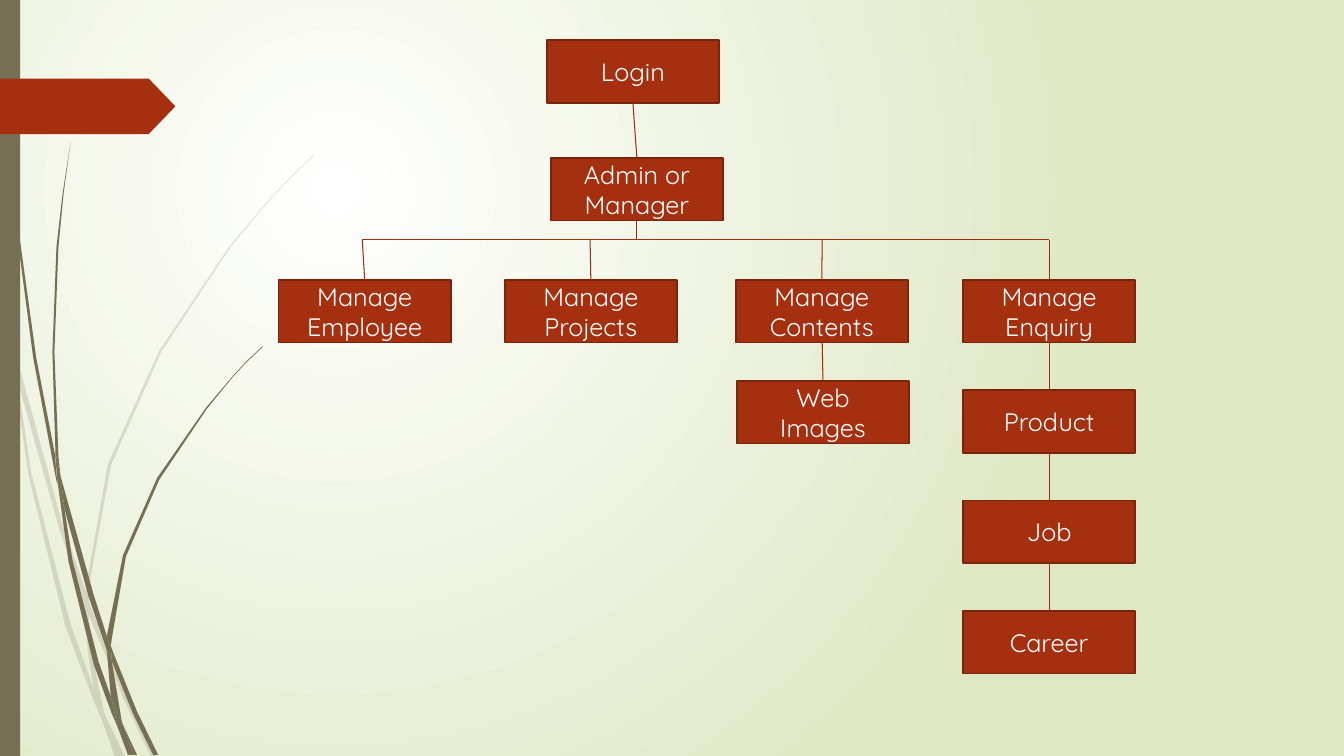
from dataclasses import dataclass

from lxml.etree import SubElement
from pptx import Presentation
from pptx.dml.color import RGBColor
from pptx.enum.shapes import MSO_CONNECTOR, MSO_SHAPE
from pptx.enum.text import MSO_ANCHOR, PP_ALIGN
from pptx.oxml.ns import qn
from pptx.util import Cm, Pt


@dataclass(frozen=True)
class Theme:
    rust: str = "A53010"
    edge: str = "7A240C"
    wire: str = "9E2E0F"
    stem: str = "766F54"
    white: str = "FFFFFF"
    lime: str = "DFE8C4"
    font: str = "Quicksand"
    size: float = 18
    border: float = 1.25
    thin: float = 0.75


THEME = Theme()
WIDE, HIGH = 33.87, 19.05
BOX_W, BOX_H = 4.34, 1.58
TOP, STEP = 7.05, 2.78
RAIL = 6.04

# Outlines of the grass blades; one grid unit is a hundredth of an inch
GRID = Cm(2.54) / 100
PALE = [
    [(11, 350), (9, 322), (0, 282), (0, 299), (10, 344)],
    [(58, 522), (84, 599), (85, 586), (62, 520), (14, 345), (17, 376)],
    [(92, 607), (88, 596), (88, 610), (123, 694), (150, 751), (155, 751),
     (127, 692)],
    [(119, 751), (124, 751), (105, 711)],
    [(93, 683), (70, 619), (31, 469), (17, 376), (11, 350), (28, 470),
     (65, 621), (92, 693), (101, 714), (99, 707)],
    [(84, 599), (87, 646), (93, 683), (96, 692), (105, 711), (103, 706),
     (91, 646), (88, 610), (88, 608)],
    [(88, 584), (110, 462), (160, 349), (229, 245), (268, 198), (290, 175),
     (312, 154), (312, 153), (289, 175), (268, 197), (228, 244), (158, 348),
     (107, 461), (85, 584), (85, 586), (88, 596)],
    [(101, 714), (114, 751), (119, 751)],
    [(88, 608), (88, 610), (88, 596), (85, 586), (84, 599)],
    [(96, 692), (93, 683), (99, 707), (101, 714), (119, 751), (105, 711)],
]
DARK = [
    [(7, 110), (17, 233), (33, 355), (56, 477), (57, 481), (55, 457),
     (55, 453), (36, 355), (19, 232), (8, 109), (5, 48), (4, 0), (3, 0),
     (4, 48)],
    [(88, 592), (106, 645), (106, 633), (106, 631), (93, 590), (60, 472),
     (64, 505)],
    [(113, 649), (110, 641), (111, 656), (132, 708), (152, 749), (157, 749),
     (136, 706)],
    [(110, 691), (98, 657), (72, 556), (64, 505), (57, 477), (68, 557),
     (93, 659), (111, 708), (117, 722), (116, 717)],
    [(60, 472), (58, 453), (54, 349), (58, 245), (63, 193), (70, 141),
     (62, 193), (56, 245), (52, 349), (55, 449)],
    [(133, 749), (136, 749), (122, 719)],
    [(57, 477), (64, 505), (60, 472), (55, 449), (55, 453)],
    [(111, 633), (125, 552), (158, 476), (205, 406), (231, 374), (245, 359),
     (261, 344), (260, 344), (245, 358), (231, 373), (204, 405), (156, 474),
     (122, 551), (106, 631), (110, 641)],
    [(117, 722), (127, 749), (131, 749)],
    [(106, 645), (110, 691), (116, 706), (122, 719), (121, 716), (111, 656),
     (109, 651)],
    [(106, 645), (109, 651), (111, 656), (110, 641), (106, 631), (106, 633)],
    [(116, 706), (110, 691), (116, 717), (117, 722), (130, 749), (133, 749),
     (122, 719)],
]


def rgb(code):
    return RGBColor.from_string(code)


def paint(shape, fill, line=None, alpha=None):
    shape.shadow.inherit = False
    shape.fill.solid()
    shape.fill.fore_color.rgb = rgb(fill)
    if alpha:
        tint = shape.element.spPr.find(".//" + qn("a:srgbClr"))
        SubElement(tint, qn("a:alpha"), val=str(alpha * 1000))
    if line:
        shape.line.color.rgb = rgb(line)
        shape.line.width = Pt(THEME.border)
    else:
        shape.line.fill.background()


def block(slide, x, y, w, h, fill, line=None, kind=MSO_SHAPE.RECTANGLE):
    shape = slide.shapes.add_shape(kind, Cm(x), Cm(y), Cm(w), Cm(h))
    paint(shape, fill, line)
    return shape


def write(shape, text, size=THEME.size, color=THEME.white, font=THEME.font,
          align=PP_ALIGN.CENTER, anchor=MSO_ANCHOR.MIDDLE):
    frame = shape.text_frame
    frame.word_wrap = True
    frame.vertical_anchor = anchor
    para = frame.paragraphs[0]
    para.text = text
    para.alignment = align
    for run in para.runs:
        run.font.size = Pt(size)
        run.font.name = font
        run.font.color.rgb = rgb(color)


def box(slide, text, x, y):
    write(block(slide, x, y, BOX_W, BOX_H, THEME.rust, THEME.edge), text)


def wire(slide, x1, y1, x2, y2):
    line = slide.shapes.add_connector(
        MSO_CONNECTOR.STRAIGHT, Cm(x1), Cm(y1), Cm(x2), Cm(y2))
    line.line.color.rgb = rgb(THEME.wire)
    line.line.width = Pt(THEME.thin)
    SubElement(line.element.spPr, qn("a:effectLst"))


def grass(slide, blades, alpha=None):
    tuft = slide.shapes.add_group_shape()
    for start, *rest in blades:
        pen = tuft.shapes.build_freeform(*start, scale=GRID)
        pen.add_line_segments(rest, close=True)
        paint(pen.convert_to_shape(), THEME.stem, alpha=alpha)


def backdrop(slide):
    fill = slide.background.fill
    fill.gradient()
    for stop, code in zip(fill.gradient_stops, (THEME.white, THEME.lime)):
        stop.color.rgb = rgb(code)
    grad = slide.element.find(".//" + qn("a:gradFill"))
    grad.remove(grad.find(qn("a:lin")))
    ring = SubElement(grad, qn("a:path"), {"path": "circle"})
    SubElement(ring, qn("a:fillToRect"),
               l="50000", t="50000", r="100000", b="100000")


def decor(slide):
    backdrop(slide)
    grass(slide, PALE, alpha=20)
    grass(slide, DARK)
    block(slide, 0, 0, 0.51, HIGH, THEME.stem)
    tag = block(slide, 0, 1.98, 4.42, 1.4, THEME.rust, kind=MSO_SHAPE.PENTAGON)
    tag.adjustments[0] = 0.48


def chart(slide):
    mid = BOX_W / 2
    login, admin = (13.78, 1.01), (13.88, 3.98)
    stem = admin[0] + mid
    box(slide, "Login", *login)
    box(slide, "Admin or\nManager", *admin)
    wire(slide, login[0] + mid, login[1] + BOX_H, stem, admin[1])
    wire(slide, stem, admin[1] + BOX_H, stem, RAIL)

    # Left edge of each box and where its line meets the rail
    tasks = {"Employee": (7.02, 9.13), "Projects": (12.72, 14.87),
             "Contents": (18.54, 20.72), "Enquiry": (24.27, 26.44)}
    for name, (x, joint) in tasks.items():
        box(slide, f"Manage\n{name}", x, TOP)
        wire(slide, x + mid, TOP, joint, RAIL)
    for name in ("Employee", "Enquiry"):
        wire(slide, stem, RAIL, tasks[name][1], RAIL)

    web = (18.57, 9.6)
    box(slide, "Web\nImages", *web)
    wire(slide, tasks["Contents"][1], TOP + BOX_H, web[0] + mid, web[1])

    x = tasks["Enquiry"][0]
    for i, name in enumerate(("Product", "Job", "Career"), 1):
        y = TOP + i * STEP
        box(slide, name, x, y)
        wire(slide, x + mid, y - STEP + BOX_H, x + mid, y)


def main():
    deck = Presentation()
    deck.slide_width, deck.slide_height = Cm(WIDE), Cm(HIGH)
    slide = deck.slides.add_slide(deck.slide_layouts[6])
    decor(slide)
    chart(slide)
    deck.save("out.pptx")


if __name__ == "__main__":
    main()
